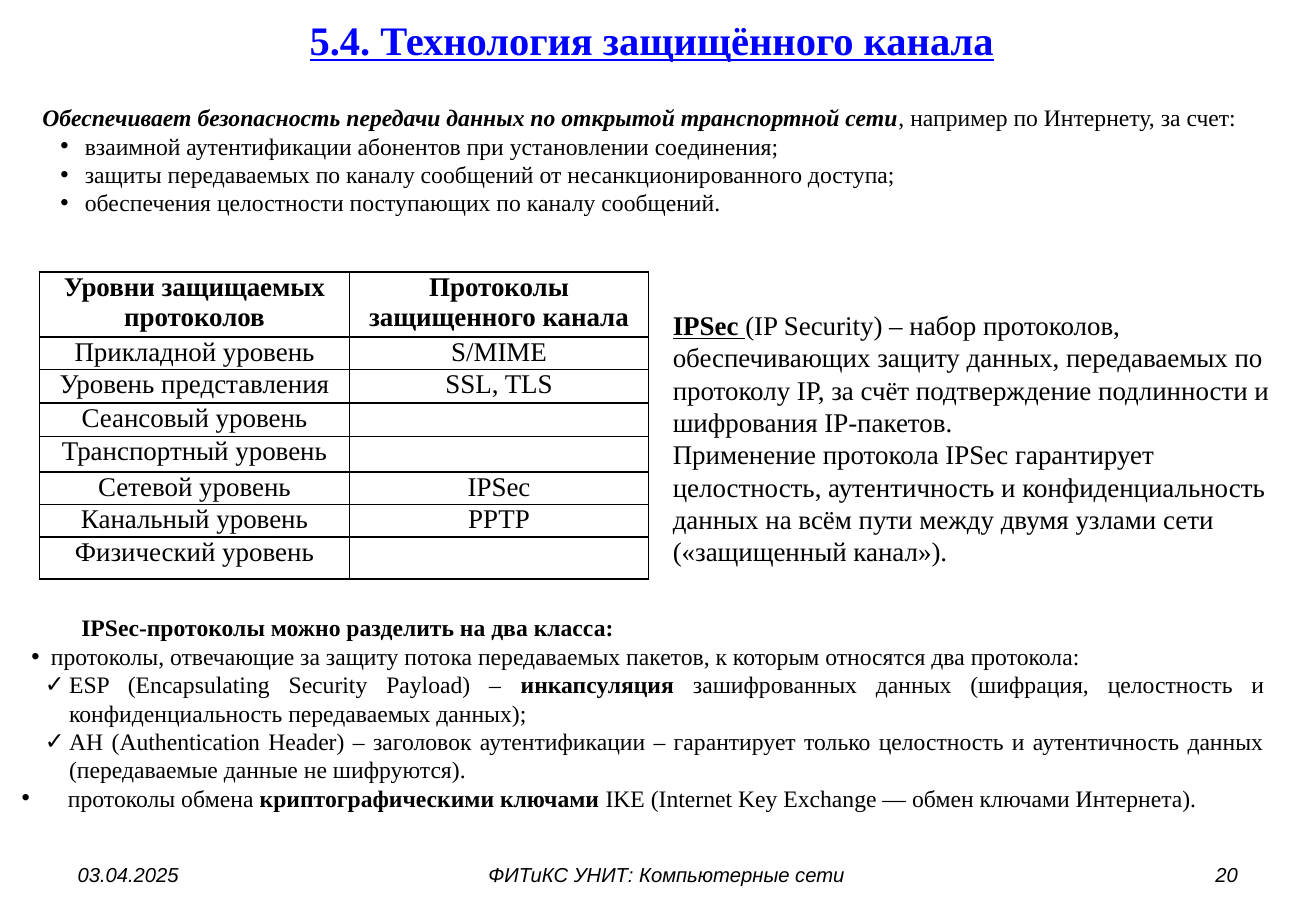
from lxml import etree
from pptx import Presentation
from pptx.dml.color import RGBColor
from pptx.enum import text as t
from pptx.oxml import ns
from pptx.util import Pt

BLACK = RGBColor(0, 0, 0)
BLUE = RGBColor(0, 0, 255)
SERIF, SANS = "Times New Roman", "Arial"
LEFT, CENTER = t.PP_ALIGN.LEFT, t.PP_ALIGN.CENTER
RIGHT, JUSTIFY = t.PP_ALIGN.RIGHT, t.PP_ALIGN.JUSTIFY

# Content: a paragraph is (bullet, left indent, first-line indent, runs),
# a run is (text, style), where style holds any of b, i, u
TITLE = [("", 0, 0, [("5.4. Технология защищённого канала", "bu")])]

PURPOSE = [
    ("", 0, 0, [
        ("Обеспечивает безопасность передачи данных по открытой транспортной сети", "bi"),
        (", например по Интернету, за счет:", "")]),
    *[("•", 25.2, -14.4, [(line, "")]) for line in (
        "взаимной аутентификации абонентов при установлении соединения;",
        "защиты передаваемых по каналу сообщений от несанкционированного доступа;",
        "обеспечения целостности поступающих по каналу сообщений.")],
]

LEVELS = [  # level, protocol, row height
    ("Уровни защищаемых протоколов", "Протоколы защищенного канала", 35.5),
    ("Прикладной уровень", "S/MIME", 19),
    ("Уровень представления", "SSL, TLS", 20),
    ("Сеансовый уровень", "", 20),
    ("Транспортный уровень", "", 21),
    ("Сетевой уровень", "IPSec", 19),
    ("Канальный уровень", "РРТР", 18.5),
    ("Физический уровень", "", 25),
]
LEVEL_WIDTHS = (184, 177)

IPSEC = [
    ("", 0, 0, [
        ("IPSec ", "bu"),
        ("(IP Security) – набор протоколов, обеспечивающих защиту данных, "
         "передаваемых по протоколу IP, за счёт подтверждение подлинности "
         "и шифрования IP-пакетов.", "")]),
    ("", 0, 0, [
        ("Применение протокола IPSec гарантирует целостность, аутентичность "
         "и конфиденциальность данных на всём пути между двумя узлами сети "
         "(«защищенный канал»).", "")]),
]

CLASSES = [
    ("", 0, 35.3, [("IPSec-протоколы можно разделить на два класса:", "b")]),
    ("•", 17.3, -11.5, [
        ("протоколы, отвечающие за защиту потока передаваемых пакетов, "
         "к которым относятся два протокола:", "")]),
    ("✓", 28.1, -14.4, [
        ("ESP (Encapsulating Security Payload) – ", ""),
        ("инкапсуляция", "b"),
        (" зашифрованных данных (шифрация, целостность и "
         "конфиденциальность передаваемых данных);", "")]),
    ("✓", 28.1, -14.4, [
        ("AH (Authentication Header) – заголовок аутентификации – гарантирует "
         "только целостность и аутентичность данных "
         "(передаваемые данные не шифруются).", "")]),
    ("•", 27.4, -27.4, [
        ("протоколы обмена ", ""),
        ("криптографическими ключами ", "b"),
        ("IKE (Internet Key Exchange — обмен ключами Интернета).", "")]),
]

FOOTER = [  # text, left, width, alignment
    ("03.04.2025", 38.9, 182, LEFT),
    ("ФИТиКС УНИТ: Компьютерные сети", 241.2, 308, CENTER),
    ("20", 558.7, 182, RIGHT),
]


def set_font(font, size, face, color, style=""):
    font.size, font.name = Pt(size), face
    font.color.rgb = color
    font.bold, font.italic = "b" in style, "i" in style
    font.underline = "u" in style


def write(frame, paragraphs, size, face=SERIF, color=BLACK, align=LEFT):
    for n, (bullet, indent, first, runs) in enumerate(paragraphs):
        line = frame.add_paragraph() if n else frame.paragraphs[0]
        line.alignment = align
        props = line._p.get_or_add_pPr()
        props.set("marL", str(Pt(indent)))
        props.set("indent", str(Pt(first)))
        if bullet:
            etree.SubElement(props, ns.qn("a:buFont")).set("typeface", SANS)
            etree.SubElement(props, ns.qn("a:buChar")).set("char", bullet)
        for words, style in runs:
            run = line.add_run()
            run.text = words
            set_font(run.font, size, face, color, style)


def add_text(box, paragraphs, size, anchor=t.MSO_ANCHOR.TOP, **look):
    frame = slide.shapes.add_textbox(*map(Pt, box)).text_frame
    frame.word_wrap = True
    frame.vertical_anchor = anchor
    write(frame, paragraphs, size, **look)


def add_borders(cell):
    props = cell._tc.get_or_add_tcPr()
    for place, side in enumerate(("a:lnL", "a:lnR", "a:lnT", "a:lnB")):
        edge = etree.Element(ns.qn(side), w=str(Pt(1)))
        fill = etree.SubElement(edge, ns.qn("a:solidFill"))
        etree.SubElement(fill, ns.qn("a:srgbClr")).set("val", str(BLACK))
        props.insert(place, edge)


deck = Presentation()
deck.slide_width, deck.slide_height = Pt(780), Pt(540)
slide = deck.slides.add_slide(deck.slide_layouts[6])

# Title and purpose of the channel
add_text((7.2, 0.7, 758, 45.4), TITLE, 24, t.MSO_ANCHOR.MIDDLE,
         color=BLUE, align=CENTER)
add_text((18, 57.6, 748, 75), PURPOSE, 14)

# Table of protocol levels
table_height = sum(row[-1] for row in LEVELS)
levels = slide.shapes.add_table(
    len(LEVELS), len(LEVEL_WIDTHS), Pt(23.3), Pt(161.3),
    Pt(sum(LEVEL_WIDTHS)), Pt(table_height)).table
levels.first_row = levels.horz_banding = False
for column, width in zip(levels.columns, LEVEL_WIDTHS):
    column.width = Pt(width)
for r, (level, protocol, height) in enumerate(LEVELS):
    levels.rows[r].height = Pt(height)
    for c, words in enumerate((level, protocol)):
        cell = levels.cell(r, c)
        cell.margin_left = cell.margin_right = Pt(2)
        cell.margin_top = cell.margin_bottom = 0
        cell.fill.background()
        add_borders(cell)
        if words:
            write(cell.text_frame, [("", 0, 0, [(words, "" if r else "b")])],
                  16, align=CENTER)
        else:
            set_font(cell.text_frame.paragraphs[0].font, 16, SERIF, BLACK)

# IPSec definition and its protocol classes
add_text((391.7, 179.3, 374, 163), IPSEC, 16)
add_text((5.8, 360, 751, 126), CLASSES, 14, align=JUSTIFY)

# Footer
for words, left, width, align in FOOTER:
    add_text((left, 507.6, width, 21.6), [("", 0, 0, [(words, "i")])], 12,
             face=SANS, align=align)

deck.save("out.pptx")
